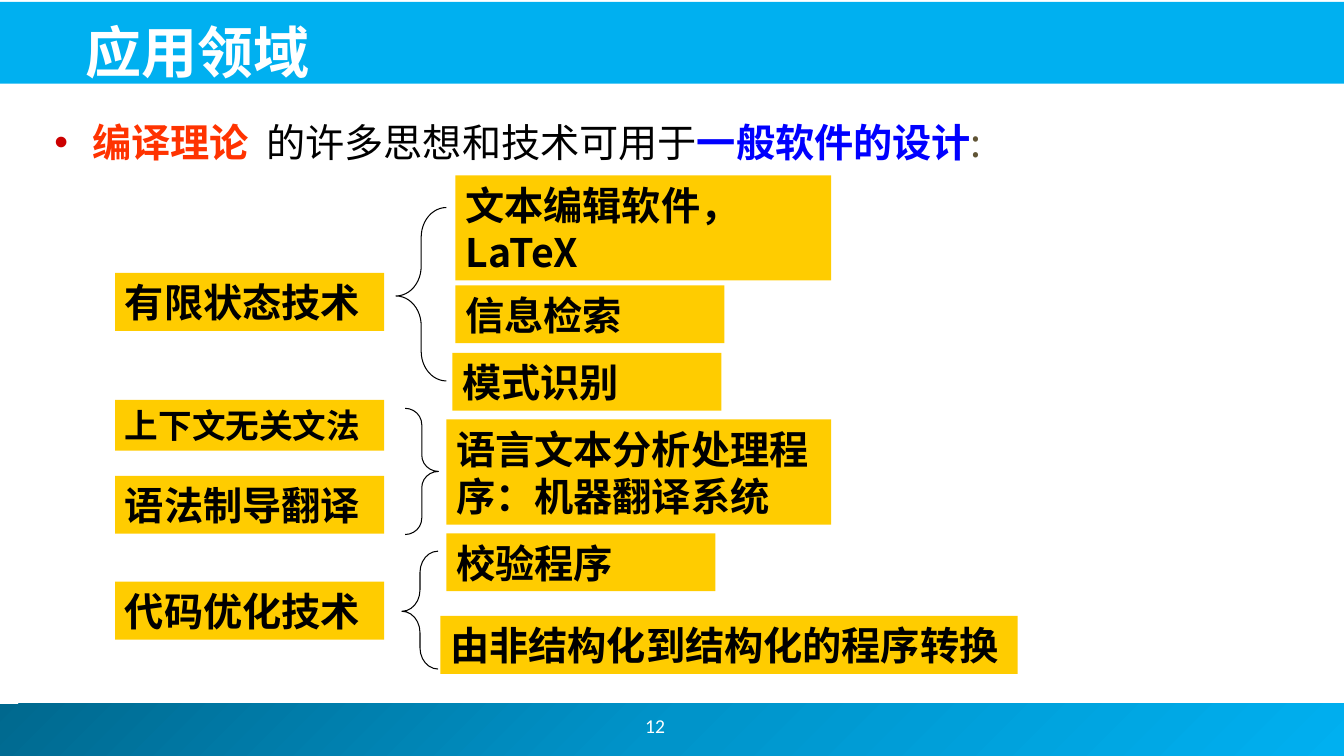
import copy

import pptx
import pptx.dml.color
import pptx.enum.dml
import pptx.enum.shapes
import pptx.enum.text
import pptx.oxml
import pptx.oxml.ns
import pptx.util
from pptx.util import Cm

SHAPES = pptx.enum.shapes.MSO_SHAPE
ANCHOR = pptx.enum.text.MSO_ANCHOR
ALIGN = pptx.enum.text.PP_ALIGN

TITLE = "应用领域"
PAGE_NUMBER = "12"
# text, colour name, bold
LEAD = [
    ("编译理论  ", "orange", True),
    ("的许多思想和技术可用于", "black", False),
    ("一般软件的设计", "blue", True),
    (":", "brown", False),
]

# text, top in cm, size name
TECHNIQUES = [
    ("有限状态技术", 6.88, "body"),
    ("上下文无关文法", 10.08, "small"),
    ("语法制导翻译", 11.99, "body"),
    ("代码优化技术", 14.66, "body"),
]
# text, left, top, width in cm, number of lines
APPLICATIONS = [
    ("文本编辑软件，LaTeX", 11.48, 4.42, 9.47, 2),
    ("信息检索", 11.48, 7.19, 6.78, 1),
    ("模式识别", 11.4, 8.89, 6.78, 1),
    ("语言文本分析处理程序：机器翻译系统", 11.25, 10.57, 9.7, 2),
    ("校验程序", 11.25, 13.44, 6.78, 1),
    ("由非结构化到结构化的程序转换", 11.1, 15.52, 14.55, 1),
]
# shape, left, top, width, height in cm, adjustments
BRACES = [
    (SHAPES.LEFT_BRACE, 9.98, 5.23, 1.27, 4.37, (0.59, 0.51)),
    (SHAPES.RIGHT_BRACE, 10.21, 10.29, 0.84, 3.18, (0.49, 0.5)),
    (SHAPES.LEFT_BRACE, 10.13, 13.89, 0.91, 2.97, (0.59, 0.51)),
]

THEME = {
    "font": "Noto Sans CJK JP",
    "number_font": "Calibri",
    "sizes": {"title": 40, "body": 28, "small": 24, "number": 14},
    "colors": {
        "white": "FFFFFF", "black": "000000", "banner": "00B0F0",
        "deep": "00688E", "middle": "0094CA", "box": "FFCC00",
        "orange": "FF3300", "blue": "0000FF", "brown": "605435",
        "bullet": "CC0000",
    },
}
LINE_RATIO = 1.21
TECHNIQUE_LEFT, TECHNIQUE_WIDTH = 2.9, 6.78
INSET = 0.13


def color(name):
    return pptx.dml.color.RGBColor.from_string(THEME["colors"][name])


def box_height(size_name, lines=1):
    line_cm = THEME["sizes"][size_name] * LINE_RATIO * 2.54 / 72
    return round(lines * line_cm + 2 * INSET, 2)


def add_plain_shape(slide, kind, left, top, width, height):
    shape = slide.shapes.add_shape(kind, Cm(left), Cm(top), Cm(width), Cm(height))
    shape.shadow.inherit = False
    shape.line.fill.background()
    return shape


def add_rectangle(slide, fill, *place):
    shape = add_plain_shape(slide, SHAPES.RECTANGLE, *place)
    shape.fill.solid()
    shape.fill.fore_color.rgb = color(fill)
    return shape


def add_text_box(slide, left, top, width, height):
    return slide.shapes.add_textbox(Cm(left), Cm(top), Cm(width), Cm(height))


def write(shape, runs, size_name, anchor, align=ALIGN.LEFT, font="font"):
    """Put one paragraph of (text, colour, bold) runs in the shape."""
    frame = shape.text_frame
    frame.word_wrap = True
    frame.vertical_anchor = anchor
    frame.margin_top = frame.margin_bottom = Cm(INSET)
    paragraph = frame.paragraphs[0]
    paragraph.alignment = align
    size = THEME["sizes"][size_name]
    paragraph.line_spacing = pptx.util.Pt(round(size * LINE_RATIO))
    for text, color_name, bold in runs:
        run = paragraph.add_run()
        run.text = text
        run.font.size = pptx.util.Pt(size)
        run.font.bold = bold
        run.font.color.rgb = color(color_name)
        run.font.name = THEME[font]
        east_asian = copy.deepcopy(run.font._element.find(pptx.oxml.ns.qn("a:latin")))
        east_asian.tag = pptx.oxml.ns.qn("a:ea")
        run.font._element.append(east_asian)
    return paragraph


def add_bullet(paragraph):
    properties = paragraph._p.get_or_add_pPr()
    properties.set("marL", str(Cm(0.95)))
    properties.set("indent", str(-Cm(0.95)))
    namespace = pptx.oxml.ns.nsdecls("a")
    for xml in (
        f'<a:buClr {namespace}><a:srgbClr val="{THEME["colors"]["bullet"]}"/></a:buClr>',
        f'<a:buFont {namespace} typeface="Arial"/>',
        f'<a:buChar {namespace} char="•"/>',
    ):
        properties.append(pptx.oxml.parse_xml(xml))


def add_footer_band(slide):
    band = add_plain_shape(slide, SHAPES.RECTANGLE, -0.13, 17.73, 34.01, 1.32)
    band.fill.gradient()
    band.fill.gradient_angle = 315
    stop_list = band.fill._xPr.find(".//" + pptx.oxml.ns.qn("a:gsLst"))
    stop_list.insert(1, copy.deepcopy(stop_list[0]))
    stops = zip(band.fill.gradient_stops, ("deep", "middle", "banner"), (0, 0.5, 1))
    for stop, color_name, position in stops:
        stop.color.rgb = color(color_name)
        stop.position = position


def add_label(slide, text, size_name, *place):
    shape = add_rectangle(slide, "box", *place)
    write(shape, [(text, "black", True)], size_name, ANCHOR.MIDDLE)


def main():
    presentation = pptx.Presentation()
    presentation.slide_width, presentation.slide_height = Cm(33.87), Cm(19.05)
    slide = presentation.slides.add_slide(presentation.slide_layouts[6])

    add_footer_band(slide)
    add_rectangle(slide, "banner", -0.05, 0.05, 33.93, 2.06)
    lead = add_text_box(slide, 1.12, 2.84, 31.6, 13.82)
    add_bullet(write(lead, LEAD, "body", ANCHOR.TOP))
    number = add_text_box(slide, 13.21, 17.65, 6.6, 1.27)
    write(number, [(PAGE_NUMBER, "white", False)], "number", ANCHOR.MIDDLE,
          ALIGN.CENTER, "number_font")
    title = add_text_box(slide, 1.9, 0.25, 30.84, 2.01)
    write(title, [(TITLE, "white", True)], "title", ANCHOR.BOTTOM)

    for text, top, size_name in TECHNIQUES:
        add_label(slide, text, size_name, TECHNIQUE_LEFT, top,
                  TECHNIQUE_WIDTH, box_height(size_name))
    for text, left, top, width, lines in APPLICATIONS:
        add_label(slide, text, "body", left, top, width, box_height("body", lines))
    for kind, left, top, width, height, adjustments in BRACES:
        brace = add_plain_shape(slide, kind, left, top, width, height)
        brace.fill.background()
        brace.line.color.rgb = color("black")
        brace.line.width = pptx.util.Pt(0.75)
        for index, value in enumerate(adjustments):
            brace.adjustments[index] = value

    presentation.save("out.pptx")


if __name__ == "__main__":
    main()
